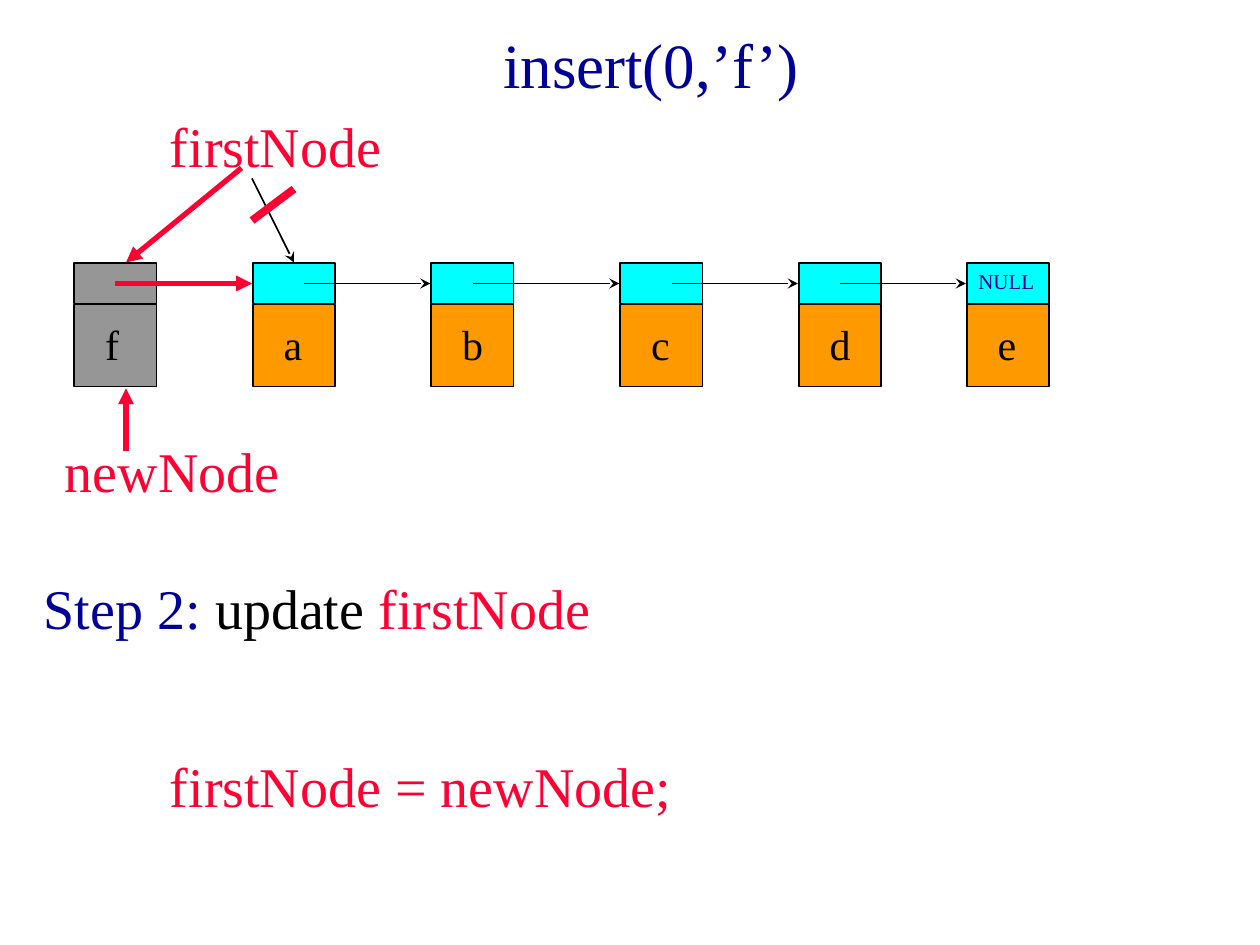
from lxml import etree
from pptx import Presentation
from pptx.dml.color import RGBColor
from pptx.enum.shapes import MSO_CONNECTOR, MSO_SHAPE
from pptx.enum.text import MSO_ANCHOR, PP_ALIGN
from pptx.oxml.ns import qn
from pptx.util import Pt

STRAIGHT = MSO_CONNECTOR.STRAIGHT
RECTANGLE = MSO_SHAPE.RECTANGLE
FONT = "Times New Roman"
NAVY = RGBColor(0x00, 0x00, 0x99)
RED = RGBColor(0xFF, 0x00, 0x33)
BLACK = RGBColor(0x00, 0x00, 0x00)
GRAY = RGBColor(0x96, 0x96, 0x96)
CYAN = RGBColor(0x00, 0xFF, 0xFF)
ORANGE = RGBColor(0xFF, 0x99, 0x00)

# Content: (letter, left edge, start of the outgoing pointer), lengths in points
TITLE = "insert(0,’f’)"
NODES = [
    ("f", 42.5, 66),
    ("a", 144.5, 174),
    ("b", 246.5, 270),
    ("c", 354.5, 384),
    ("d", 456.5, 480),
    ("e", 552.5, None),
]
# (runs, left, top, width, height, size)
TEXTS = [
    ([("NULL", NAVY)], 552, 150, 48, 21.6, 12),
    ([("firstNode", RED)], 90, 60, 144, 45.5, 32),
    ([("newNode", RED)], 30, 246, 144, 45.5, 32),
    ([("Step 2:", NAVY), (" update ", BLACK), ("firstNode", RED)],
     18, 324, 678, 104.5, 32),
    ([("firstNode = newNode;", RED)], 90, 426, 612, 46, 32),
]
# (start, end, colour, width, arrowhead)
LINES = [
    ((144, 102), (168, 150), BLACK, 1, "stealth"),
    ((72, 258), (72, 222), RED, 3, "triangle"),
    ((168, 108), (144, 126), RED, 4.5, None),
    ((138, 96), (72, 150), RED, 3, "triangle"),
]

NODE_WIDTH = 47
POINTER_TOP, POINTER_HEIGHT = 150.5, 23
DATA_TOP, DATA_HEIGHT = 174, 47
POINTER_Y = 162


def style_run(run, size, color):
    run.font.name = FONT
    run.font.size = Pt(size)
    run.font.color.rgb = color


def add_text(slide, runs, left, top, width, height, size, wrap=True):
    box = slide.shapes.add_textbox(Pt(left), Pt(top), Pt(width), Pt(height))
    box.text_frame.word_wrap = wrap
    paragraph = box.text_frame.paragraphs[0]
    for text, color in runs:
        run = paragraph.add_run()
        run.text = text
        style_run(run, size, color)


def add_cell(slide, left, top, height, color):
    cell = slide.shapes.add_shape(
        RECTANGLE, Pt(left), Pt(top), Pt(NODE_WIDTH), Pt(height))
    cell.shadow.inherit = False
    cell.fill.solid()
    cell.fill.fore_color.rgb = color
    cell.line.color.rgb = BLACK
    cell.line.width = Pt(1)


def add_line(slide, start, end, color, width, arrowhead):
    line = slide.shapes.add_connector(
        STRAIGHT, *(Pt(value) for value in start + end))
    line.line.color.rgb = color
    line.line.width = Pt(width)
    properties = line._element.spPr
    if arrowhead:
        outline = properties.find(qn("a:ln"))
        etree.SubElement(outline, qn("a:tailEnd"), type=arrowhead)
    etree.SubElement(properties, qn("a:effectLst"))


def main():
    presentation = Presentation()
    presentation.slide_width, presentation.slide_height = Pt(720), Pt(540)
    slide = presentation.slides.add_slide(presentation.slide_layouts[5])

    # Title
    title = slide.shapes.title
    title.left, title.top, title.width, title.height = (
        Pt(66), Pt(0), Pt(612), Pt(72))
    title.text_frame.text = TITLE
    title.text_frame.vertical_anchor = MSO_ANCHOR.MIDDLE
    paragraph = title.text_frame.paragraphs[0]
    paragraph.alignment = PP_ALIGN.CENTER
    style_run(paragraph.runs[0], 36, NAVY)

    # List nodes; the first one is new
    for index, (letter, left, _) in enumerate(NODES):
        is_new = index == 0
        add_cell(slide, left, DATA_TOP, DATA_HEIGHT, GRAY if is_new else ORANGE)
        add_cell(slide, left, POINTER_TOP, POINTER_HEIGHT,
                 GRAY if is_new else CYAN)
        add_text(slide, [(letter, BLACK)], left + 10.5, 178.5, 26, 36, 24,
                 wrap=False)

    # Pointers from each node to the next
    for index, (node, following) in enumerate(zip(NODES, NODES[1:])):
        style = (RED, 3, "triangle") if index == 0 else (BLACK, 1, "stealth")
        add_line(slide, (node[2], POINTER_Y), (following[1] - 0.5, POINTER_Y),
                 *style)

    # Labels, step text and remaining lines
    for text in TEXTS:
        add_text(slide, *text)
    for line in LINES:
        add_line(slide, *line)

    presentation.save("out.pptx")


if __name__ == "__main__":
    main()
